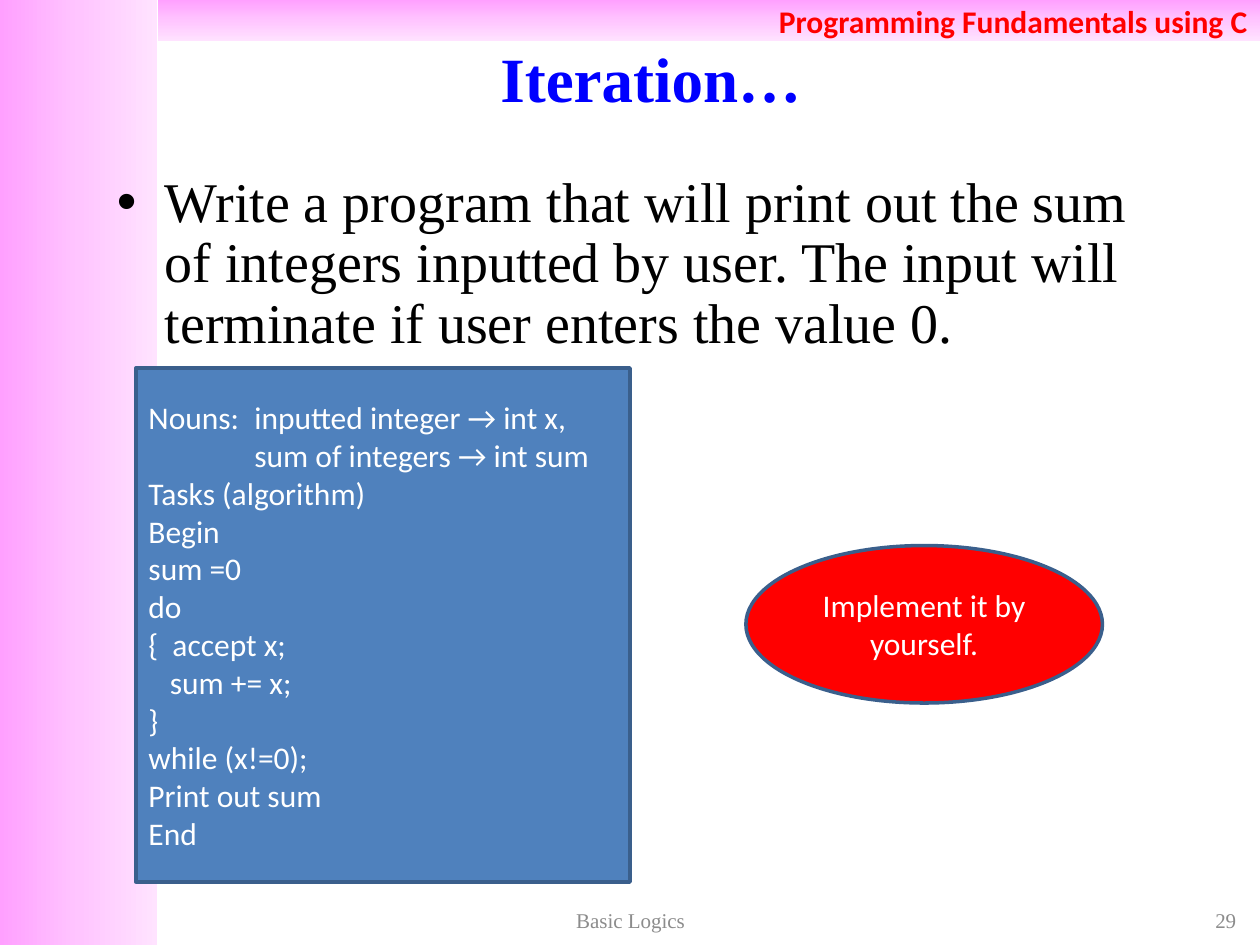
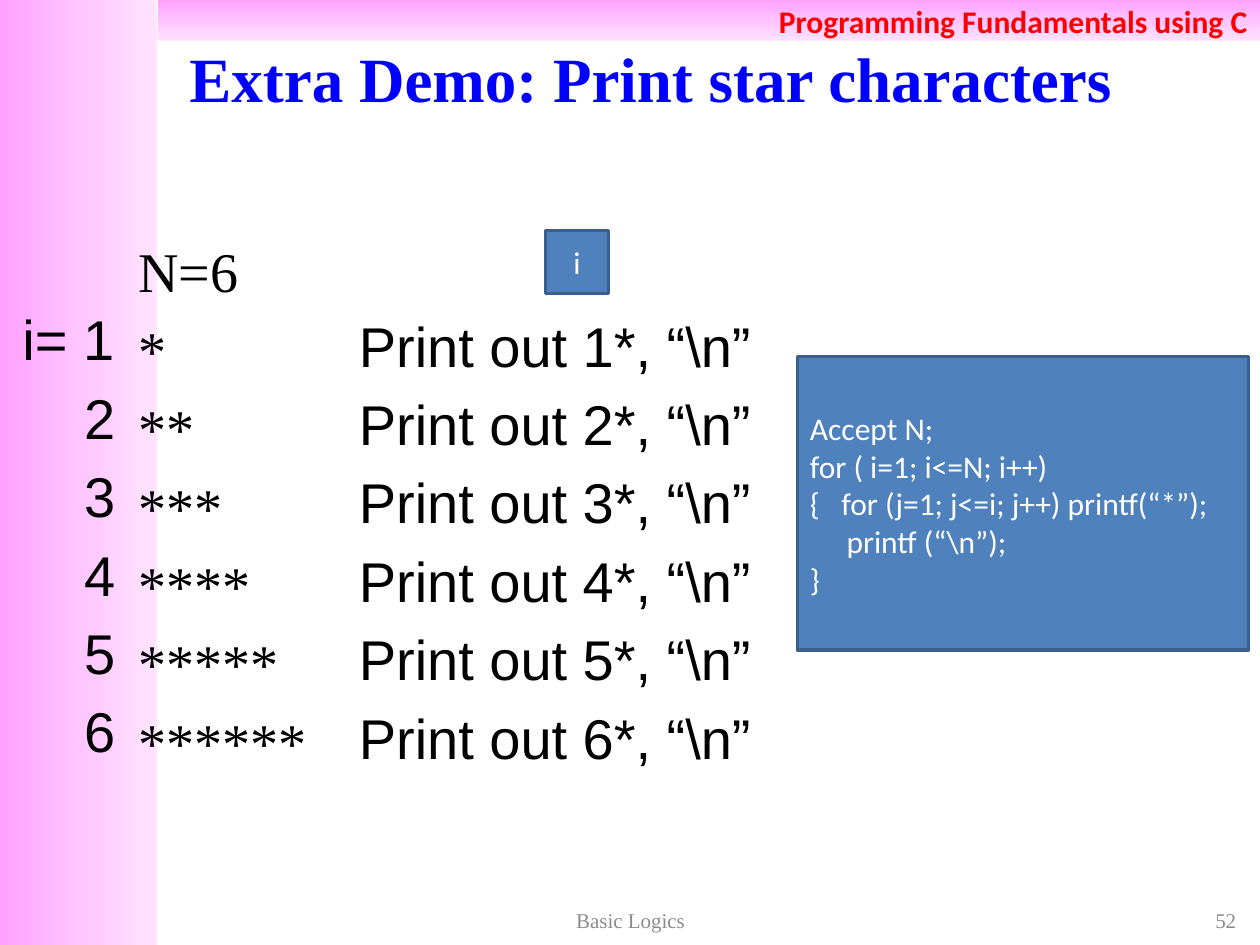
from copy import deepcopy

from lxml.etree import SubElement
from pptx import Presentation
from pptx.dml.color import RGBColor
from pptx.enum.shapes import MSO_SHAPE as Shape
from pptx.enum.text import MSO_ANCHOR as Anchor, PP_ALIGN as Align
from pptx.oxml.ns import qn
from pptx.util import Inches, Pt

COLORS = {
    "title": "0000FF", "course": "FF0000", "text": "000000", "footer": "8C8C8C",
    "box": "4F81BD", "outline": "3A5F8C", "callout": "FF0000", "on_box": "FFFFFF",
}
BAND_STOPS = [(0, "FFA0FF"), (0.5, "FFC5FF"), (1, "FFE3FF")]

# Text styles: font attributes plus a colour name
STYLES = {
    "title": ({"name": "Times New Roman", "size": Pt(36), "bold": True}, "title"),
    "course": ({"name": "Calibri", "size": Pt(18), "bold": True}, "course"),
    "body": ({"name": "Times New Roman", "size": Pt(32)}, "text"),
    "rows": ({"name": "Arial", "size": Pt(32)}, "text"),
    "box": ({"name": "Calibri", "size": Pt(18)}, "on_box"),
    "footer": ({"name": "Times New Roman", "size": Pt(12)}, "footer"),
}

ROW_COUNT = 6
ROW_PITCH = 0.62


def rgb(name):
    return RGBColor.from_string(COLORS[name])


def place(shape, area):
    for key, value in zip(("left", "top", "width", "height"), area):
        setattr(shape, key, Inches(value))


def write(shape, lines, style, align=Align.LEFT, anchor=Anchor.MIDDLE):
    """Fill a shape with lines: text, or (text, left indent, tab stop)."""
    frame = shape.text_frame
    frame.word_wrap = True
    frame.vertical_anchor = anchor
    fonts, color = STYLES[style]
    for number, line in enumerate(lines):
        text, indent, tab = (line, 0, 0) if isinstance(line, str) else line
        para = frame.paragraphs[0] if number == 0 else frame.add_paragraph()
        para.alignment = align
        span = para.add_run()
        span.text = text
        for key, value in fonts.items():
            setattr(span.font, key, value)
        span.font.color.rgb = rgb(color)
        props = para._p.get_or_add_pPr()
        if indent:
            props.set("marL", str(Inches(indent)))
        if tab:
            stops = SubElement(props, qn("a:tabLst"))
            SubElement(stops, qn("a:tab"), pos=str(Inches(tab)), algn="l")
    return frame


def space_before(para, percent):
    props = para._p.get_or_add_pPr()
    gap = SubElement(props, qn("a:spcBef"))
    SubElement(gap, qn("a:spcPct"), val=str(percent * 1000))
    return props


def add_text(page, area, lines, style, **layout):
    box = page.shapes.add_textbox(*map(Inches, area))
    return write(box, lines, style, **layout)


def add_rows(page, area, lines, style):
    frame = add_text(page, area, lines, style, anchor=Anchor.TOP)
    for para in frame.paragraphs:
        space_before(para, 20)


def add_bullet(page, area, text):
    frame = add_text(page, area, [text], "body", anchor=Anchor.TOP)
    para = frame.paragraphs[0]
    para.line_spacing = 0.9
    props = space_before(para, 20)
    props.set("marL", str(Inches(0.38)))
    props.set("indent", str(Inches(-0.38)))
    SubElement(props, qn("a:buFont"), typeface="Arial")
    SubElement(props, qn("a:buChar"), char="•")


def add_box(page, area, lines, kind=Shape.RECTANGLE, fill="box", align=Align.LEFT):
    box = page.shapes.add_shape(kind, *map(Inches, area))
    box.shadow.inherit = False
    box.fill.solid()
    box.fill.fore_color.rgb = rgb(fill)
    box.line.color.rgb = rgb("outline")
    box.line.width = Pt(2)
    write(box, lines, "box", align=align)


def add_band(page, area, angle):
    band = page.shapes.add_shape(Shape.RECTANGLE, *map(Inches, area))
    band.shadow.inherit = False
    band.line.fill.background()
    band.fill.gradient()
    band.fill.gradient_angle = angle
    stop_list = band.element.find(".//" + qn("a:gsLst"))
    stop_list.append(deepcopy(stop_list[0]))
    for stop, (position, color) in zip(band.fill.gradient_stops, BAND_STOPS):
        stop.position = position
        stop.color.rgb = RGBColor.from_string(color)
    page.shapes.title._element.addprevious(band.element)
    return band


def add_page(deck, title, number):
    """Start a slide with its bands, title and footer."""
    page = deck.slides.add_slide(deck.slide_layouts[5])
    add_band(page, (0, 0, 1.25, 7.5), 0)
    top_band = add_band(page, (1.25, 0, 8.75, 0.33), 270)
    write(top_band, ["Programming Fundamentals using C"], "course", align=Align.RIGHT)
    place(page.shapes.title, (0.83, 0.3, 8.67, 0.62))
    write(page.shapes.title, [title], "title", align=Align.CENTER)
    add_text(page, (7.58, 7.17, 2.33, 0.27), [str(number)], "footer", align=Align.RIGHT)
    add_text(page, (3.42, 7.17, 3.17, 0.27), ["Basic Logics"], "footer", align=Align.CENTER)
    return page


def build_iteration(deck):
    page = add_page(deck, "Iteration…", 29)
    add_bullet(page, (0.83, 1.33, 8.67, 1.58),
               "Write a program that will print out the sum of integers inputted "
               "by user. The input will terminate if user enters the value 0.")
    add_box(page, (1.08, 2.92, 3.92, 4.08), [
        ("Nouns:\tinputted integer → int x,", 0, 0.84),
        ("sum of integers → int sum", 0.84, 0),
        "Tasks (algorithm)",
        "Begin",
        "sum =0",
        "do",
        ("{\taccept x;", 0, 0.19),
        ("sum += x;", 0.17, 0),
        "}",
        "while (x!=0);",
        "Print out sum",
        "End",
    ])
    add_box(page, (5.92, 4.33, 2.83, 1.25), ["Implement it by yourself."],
            kind=Shape.OVAL, fill="callout", align=Align.CENTER)


def build_stars(deck):
    page = add_page(deck, "Extra Demo: Print star characters", 52)
    counts = range(1, ROW_COUNT + 1)
    height = 4.95 - ROW_PITCH

    # Counter, stars and explanation columns
    counters = ["i= 1"] + [(str(count), 0.49, 0) for count in counts[1:]]
    add_rows(page, (0.08, 1.75 + ROW_PITCH, 1.25, height), counters, "rows")
    add_rows(page, (1, 1.83, 1.75, 4.95),
             ["N=6"] + ["*" * count for count in counts], "body")
    add_rows(page, (2.75, 1.8 + ROW_PITCH, 3.5, height),
             [f"Print out {count}*, “\\n”" for count in counts], "rows")

    # Loop variable and code
    add_box(page, (4.33, 1.83, 0.5, 0.5), ["i"], align=Align.CENTER)
    add_box(page, (6.33, 2.83, 3.58, 2.33), [
        "Accept N;",
        "for ( i=1; i<=N; i++)",
        ("{\tfor (j=1; j<=i; j++) printf(“*”);", 0, 0.25),
        ("printf (“\\n”);", 0.29, 0),
        "}",
    ])


def main():
    deck = Presentation()
    deck.slide_width, deck.slide_height = Inches(10), Inches(7.5)
    build_iteration(deck)
    build_stars(deck)
    deck.save("out.pptx")


main()
